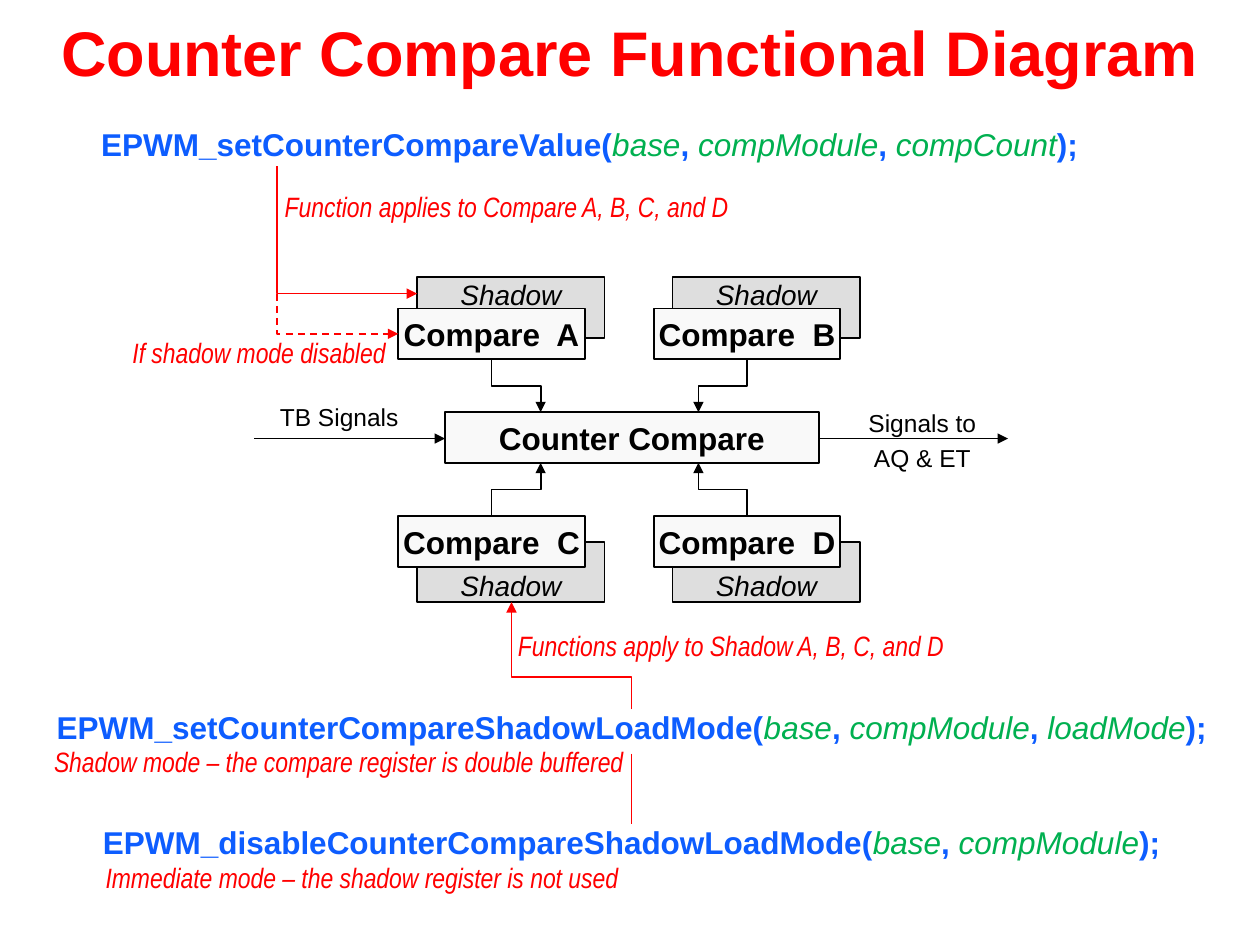
from dataclasses import dataclass

from lxml import etree
from pptx import Presentation
from pptx.dml.color import RGBColor
from pptx.enum.dml import MSO_LINE
from pptx.enum.shapes import MSO_CONNECTOR, MSO_SHAPE
from pptx.enum.text import MSO_ANCHOR, PP_ALIGN
from pptx.oxml.ns import qn
from pptx.util import Cm, Pt

STRAIGHT, ELBOW = MSO_CONNECTOR.STRAIGHT, MSO_CONNECTOR.ELBOW
RECTANGLE = MSO_SHAPE.RECTANGLE
TOP, MIDDLE, BOTTOM = MSO_ANCHOR.TOP, MSO_ANCHOR.MIDDLE, MSO_ANCHOR.BOTTOM
LEFT, CENTER = PP_ALIGN.LEFT, PP_ALIGN.CENTER
DASH = MSO_LINE.DASH


@dataclass(frozen=True)
class Theme:
    font: str = "Arial"
    note_font: str = "Arial Narrow"
    black: RGBColor = RGBColor(0x00, 0x00, 0x00)
    red: RGBColor = RGBColor(0xFF, 0x00, 0x00)
    blue: RGBColor = RGBColor(0x0D, 0x5D, 0xFF)
    green: RGBColor = RGBColor(0x00, 0xB0, 0x50)
    register_fill: RGBColor = RGBColor(0xF9, 0xF9, 0xF9)
    shadow_fill: RGBColor = RGBColor(0xDE, 0xDE, 0xDE)
    title_size: int = 36
    main_size: int = 18
    note_size: int = 16
    signal_size: int = 14
    line_width: int = 1


theme = Theme()


def write(shape, text, size, color=theme.black, bold=False, italic=False,
          font=theme.font, align=CENTER, anchor=MIDDLE, spacing=1.0, wrap=True):
    """Set the text of a shape and format all of its runs alike."""
    frame = shape.text_frame
    frame.text = text
    frame.word_wrap = wrap
    frame.vertical_anchor = anchor
    frame.margin_left = frame.margin_right = 0
    frame.margin_top = frame.margin_bottom = Cm(0.13) if anchor == MIDDLE else 0
    for paragraph in frame.paragraphs:
        paragraph.alignment = align
        paragraph.line_spacing = spacing
        for run in paragraph.runs:
            run.font.name, run.font.size = font, Pt(size)
            run.font.bold, run.font.italic = bold, italic
            run.font.color.rgb = color


def connect(start, end, color=theme.black, kind=STRAIGHT, vertical=False,
            bend=None, arrow=True, dash=None):
    """Join two points in cm; a vertical elbow leaves its start up or down."""
    (x1, y1), (x2, y2) = start, end
    rotation = 0
    if vertical:
        # A vertical elbow is a horizontal one turned about its centre.
        down, right = y2 > y1, x2 > x1
        rotation = 90 if down else 270
        mid_x, mid_y = (x1 + x2) / 2, (y1 + y2) / 2
        half_length = abs(y2 - y1) / 2
        half_shift = abs(x2 - x1) / 2 * (-1 if down == right else 1)
        x1, x2 = mid_x - half_length, mid_x + half_length
        y1, y2 = mid_y - half_shift, mid_y + half_shift
    connector = slide.shapes.add_connector(kind, Cm(x1), Cm(y1), Cm(x2), Cm(y2))
    connector.line.color.rgb = color
    connector.line.width = Pt(theme.line_width)
    if dash:
        connector.line.dash_style = dash
    properties = connector._element.spPr
    if rotation:
        properties.find(qn("a:xfrm")).set("rot", str(rotation * 60000))
    if bend is not None:
        geometry = properties.find(qn("a:prstGeom"))
        guides = geometry.find(qn("a:avLst"))
        if guides is None:
            guides = etree.SubElement(geometry, qn("a:avLst"))
        etree.SubElement(guides, qn("a:gd"), name="adj1",
                         fmla=f"val {round(bend * 100000)}")
    if arrow:
        etree.SubElement(properties.find(qn("a:ln")), qn("a:tailEnd"), type="triangle")
    etree.SubElement(properties, qn("a:effectLst"))


presentation = Presentation()
presentation.slide_width, presentation.slide_height = Cm(25.4), Cm(19.05)
slide = presentation.slides.add_slide(presentation.slide_layouts[5])

title = slide.shapes.title
title.left, title.top, title.width, title.height = Cm(0), Cm(0), Cm(25.4), Cm(2.06)
write(title, "Counter Compare Functional Diagram", theme.title_size, theme.red, bold=True)

# Block diagram: four compare registers around the counter compare unit
register_width, register_height = 3.76, 1.02
shadow_width, shadow_height, shadow_shift = 3.78, 1.22, 0.38
column_lefts, entry_xs = (8.03, 13.18), (10.9, 14.08)
unit_left, unit_top, unit_width = 8.97, 8.31, 7.54
unit_bottom = unit_top + register_height
# register top, shadow top, shadow text anchor, register edge, unit edge, letters
rows = [
    (6.22, 5.59, TOP, 6.22 + register_height, unit_top, "AB"),
    (10.41, 10.92, BOTTOM, 10.41, unit_bottom, "CD"),
]

blocks = [(unit_left, unit_top, unit_width, register_height, theme.register_fill,
           "Counter Compare", theme.main_size, True, MIDDLE)]
for register_top, shadow_top, anchor, exit_y, entry_y, letters in rows:
    for left, entry_x, letter in zip(column_lefts, entry_xs, letters):
        connect((left + register_width / 2, exit_y), (entry_x, entry_y),
                kind=ELBOW, vertical=True)
        blocks.append((left + shadow_shift, shadow_top, shadow_width, shadow_height,
                       theme.shadow_fill, "Shadow", theme.note_size, False, anchor))
        blocks.append((left, register_top, register_width, register_height,
                       theme.register_fill, f"Compare  {letter}", theme.main_size,
                       True, MIDDLE))

for left, top, width, height, fill, label, size, bold, anchor in blocks:
    block = slide.shapes.add_shape(RECTANGLE, Cm(left), Cm(top), Cm(width), Cm(height))
    block.shadow.inherit = False
    block.fill.solid()
    block.fill.fore_color.rgb = fill
    block.line.color.rgb = theme.black
    block.line.width = Pt(theme.line_width)
    write(block, label, size, bold=bold, italic=not bold, anchor=anchor)

signal_y = 8.84
connect((5.13, signal_y), (unit_left, signal_y))
connect((unit_left + unit_width, signal_y), (20.32, signal_y))
signals = [
    ("TB Signals", 5.38, 7.98, 2.92, 0.86, 1.0),
    ("Signals to\nAQ & ET", 17.25, 8.0, 2.69, 1.63, 1.2),
]
for label, left, top, width, height, spacing in signals:
    signal = slide.shapes.add_textbox(Cm(left), Cm(top), Cm(width), Cm(height))
    write(signal, label, theme.signal_size, spacing=spacing)

# Function calls: blue code with green parameters
calls = [
    ("EPWM_setCounterCompareValue", ("base", "compModule", "compCount"), 1.75, 2.54, 20.27),
    ("EPWM_disableCounterCompareShadowLoadMode", ("base", "compModule"), 1.91, 16.61, 21.64),
    ("EPWM_setCounterCompareShadowLoadMode", ("base", "compModule", "loadMode"),
     0.91, 14.3, 23.65),
]
for function, parameters, left, top, width in calls:
    call = slide.shapes.add_textbox(Cm(left), Cm(top), Cm(width), Cm(0.86))
    write(call, f"{function}(", theme.main_size, theme.blue, bold=True, spacing=0.8)
    code = call.text_frame.paragraphs[0]
    call.text_frame.margin_top = call.text_frame.margin_bottom = Cm(0.13)
    call.text_frame.vertical_anchor = TOP
    for parameter in parameters:
        separator = ");" if parameter == parameters[-1] else ", "
        for part, is_parameter in ((parameter, True), (separator, False)):
            run = code.add_run()
            run.text = part
            run.font.name, run.font.size = theme.font, Pt(theme.main_size)
            run.font.bold, run.font.italic = not is_parameter, is_parameter
            run.font.color.rgb = theme.green if is_parameter else theme.blue

# Links from the calls to the registers they change
connect((5.59, 3.35), (8.41, 5.92), theme.red, ELBOW, bend=0)
connect((5.59, 5.92), (8.03, 6.73), theme.red, ELBOW, bend=0, dash=DASH)
connect((12.73, 15.19), (12.73, 16.61), theme.red, arrow=False)
connect((12.73, 14.3), (10.31, 12.14), theme.red, ELBOW, vertical=True, bend=0.3)

notes = [
    ("Function applies to Compare A, B, C, and D", 5.74, 3.81, 9.04),
    ("If shadow mode disabled", 2.67, 6.76, 5.23),
    ("Functions apply to Shadow A, B, C, and D", 10.44, 12.67, 8.69),
    ("Immediate mode – the shadow register is not used", 2.13, 17.35, 10.41),
    ("Shadow mode – the compare register is double buffered", 1.09, 15.01, 11.58),
]
for text, left, top, width in notes:
    note = slide.shapes.add_textbox(Cm(left), Cm(top), Cm(width), Cm(0.81))
    write(note, text, theme.note_size, theme.red, italic=True, font=theme.note_font,
          align=LEFT, spacing=0.8, wrap=False)

presentation.save("out.pptx")
